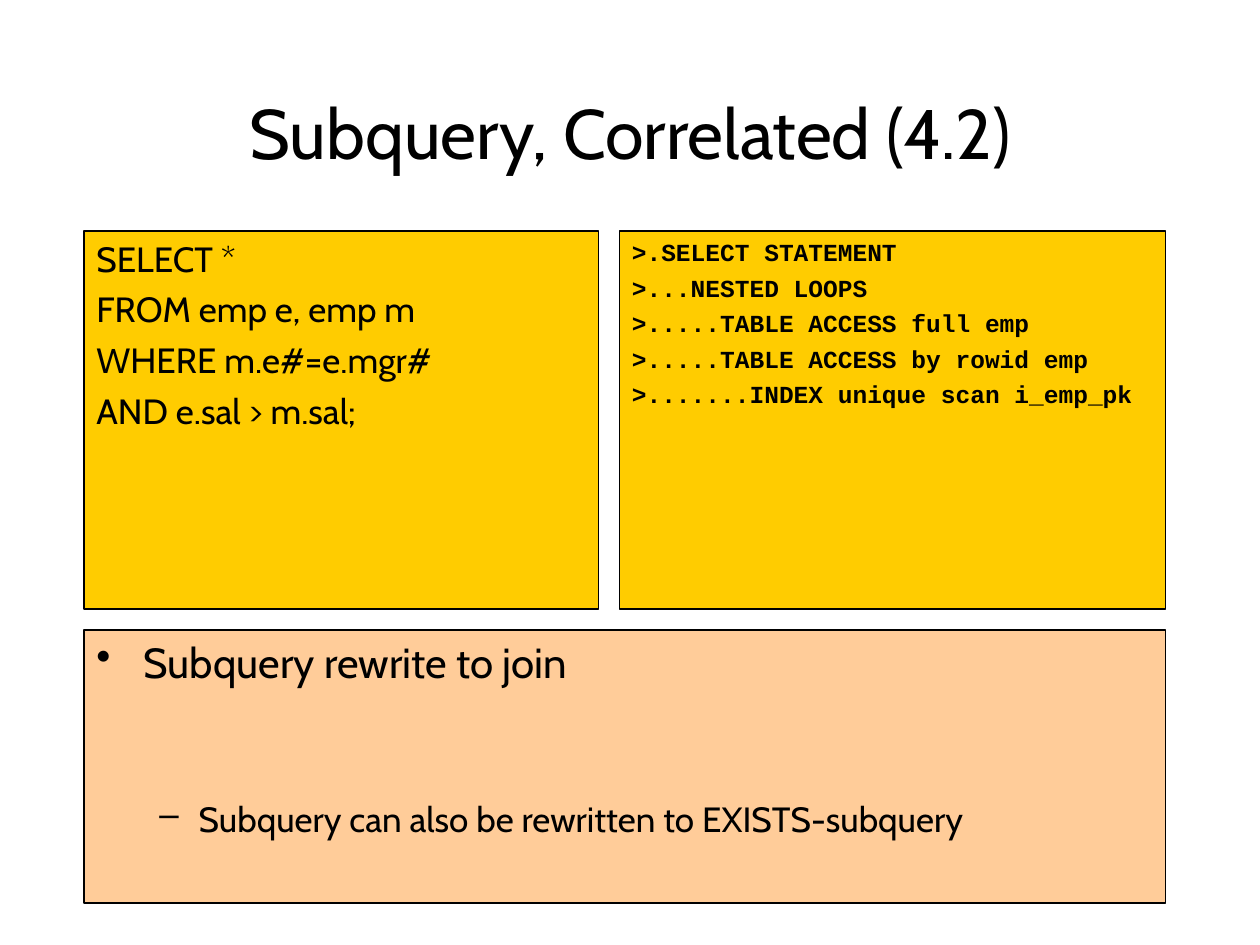
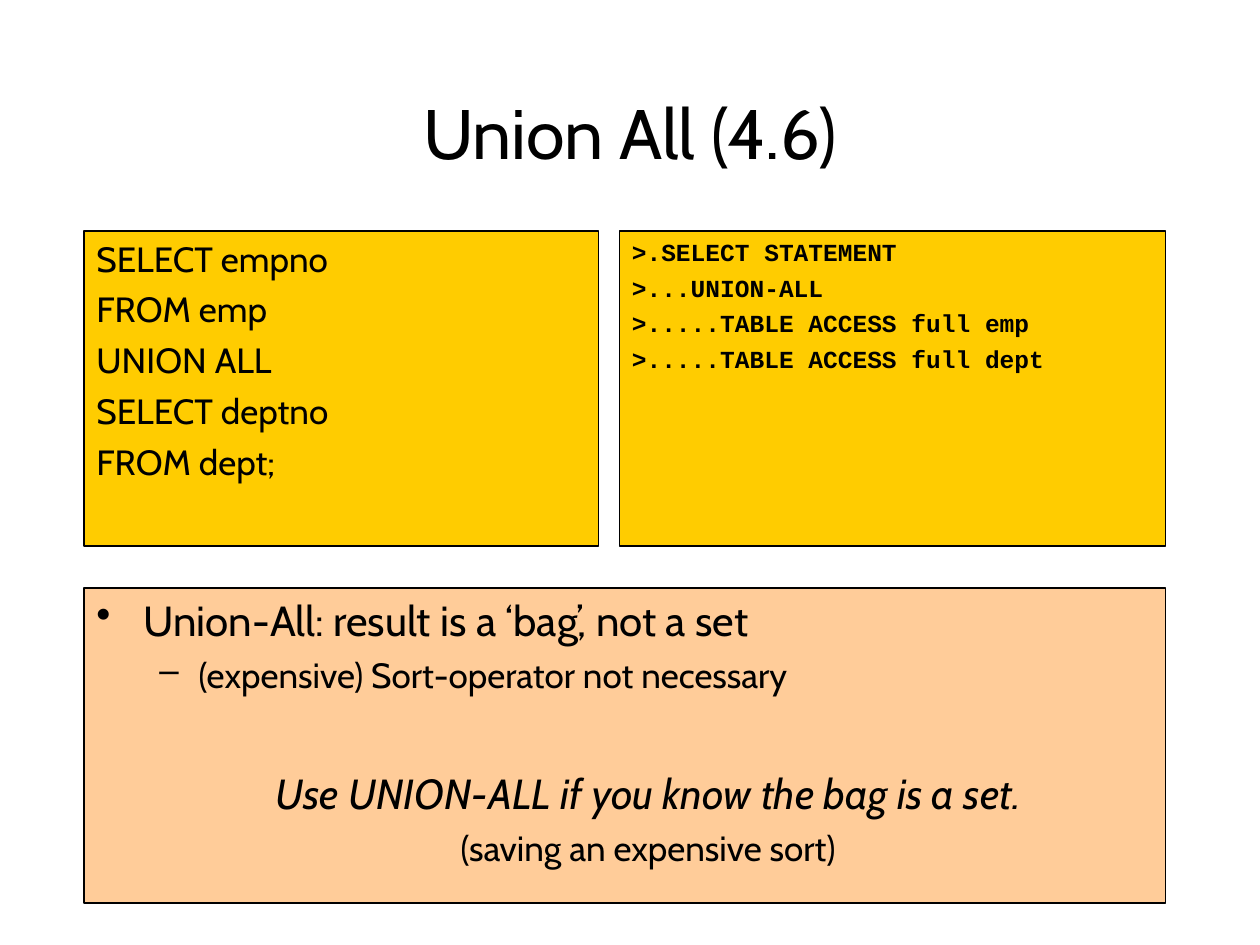
from lxml.etree import SubElement
from pptx import Presentation
from pptx.dml.color import RGBColor
from pptx.enum.shapes import MSO_SHAPE as Shape
from pptx.enum.text import MSO_ANCHOR as Anchor, PP_ALIGN as Align
from pptx.oxml.ns import qn
from pptx.util import Pt

BLACK, GOLD, PEACH = "000000", "FFCC00", "FFCC99"
LEFT, TOP, RIGHT, BOTTOM = 48, 132, 666, 516
QUERY_WIDTH, COLUMN_GAP = 294, 12

TITLE = {"size": 40, "align": Align.CENTER}
QUERY = {"size": 20, "before": 5}
PLAN = {"size": 14, "before": 3.5, "name": "Courier New", "bold": True}
POINT = {"size": 24, "before": 6, "bullet": "•", "margin": 27, "indent": -27}
DETAIL = {"size": 20, "before": 5, "bullet": "–", "margin": 58.5, "indent": -22.5}
ADVICE = {"size": 24, "before": 41.2, "italic": True, "align": Align.CENTER, "margin": 27}
REASON = {"size": 20, "before": 5, "align": Align.CENTER, "margin": 27}

SLIDES = [
    {
        "title": "Subquery, Correlated (4.2)",
        "code_height": 216,
        "gap": 12,
        "query": ["SELECT *", "FROM emp e, emp m", "WHERE m.e#=e.mgr#", "AND e.sal > m.sal;"],
        "plan": [
            ">.SELECT STATEMENT",
            ">...NESTED LOOPS",
            ">.....TABLE ACCESS full emp",
            ">.....TABLE ACCESS by rowid emp",
            ">.......INDEX unique scan i_emp_pk",
        ],
        "notes": [
            ("Subquery rewrite to join", POINT),
            ("Subquery can also be rewritten to EXISTS-subquery", {**DETAIL, "before": 63.3}),
        ],
    },
    {
        "title": "Union All (4.6)",
        "code_height": 180,
        "gap": 24,
        "query": ["SELECT empno", "FROM emp", "UNION ALL", "SELECT deptno", "FROM dept;"],
        "plan": [
            ">.SELECT STATEMENT",
            ">...UNION-ALL",
            ">.....TABLE ACCESS full emp",
            ">.....TABLE ACCESS full dept",
        ],
        "notes": [
            ("Union-All: result is a ‘bag’, not a set", POINT),
            ("(expensive) Sort-operator not necessary", DETAIL),
            ("Use UNION-ALL if you know the bag is a set.", ADVICE),
            ("(saving an expensive sort)", REASON),
        ],
    },
]


def color(value):
    """Turn a hex string into a colour."""
    return RGBColor.from_string(value)


def format_paragraph(paragraph, style):
    """Set the alignment, spacing, indents and bullet of a paragraph."""
    paragraph.alignment = style.get("align", Align.LEFT)
    properties = paragraph._p.get_or_add_pPr()
    for attribute, key in (("marL", "margin"), ("indent", "indent")):
        properties.set(attribute, str(Pt(style.get(key, 0))))
    if "bullet" in style:
        SubElement(properties, qn("a:buChar")).set("char", style["bullet"])


def write_lines(frame, lines):
    """Fill a text frame with pairs of text and style."""
    frame.word_wrap = True
    for index, (text, style) in enumerate(lines):
        paragraph = frame.paragraphs[0] if index == 0 else frame.add_paragraph()
        format_paragraph(paragraph, style)
        if index:
            paragraph.space_before = Pt(style["before"])
        run = paragraph.add_run()
        run.text = text
        run.font.color.rgb = color(BLACK)
        values = {
            "name": style.get("name", "Cabin"),
            "size": Pt(style["size"]),
            "bold": style.get("bold", False),
            "italic": style.get("italic", False),
        }
        for attribute, value in values.items():
            setattr(run.font, attribute, value)


def add_title(slide, text):
    """Add the centred slide title."""
    frame = slide.shapes.add_textbox(Pt(54), Pt(48), Pt(612), Pt(54)).text_frame
    frame.vertical_anchor = Anchor.MIDDLE
    write_lines(frame, [(text, TITLE)])


def add_panel(slide, left, top, right, bottom, fill, lines):
    """Add an outlined rectangle with text at its top."""
    shape = slide.shapes.add_shape(
        Shape.RECTANGLE, Pt(left), Pt(top), Pt(right - left), Pt(bottom - top)
    )
    shape.shadow.inherit = False
    shape.fill.solid()
    shape.fill.fore_color.rgb = color(fill)
    shape.line.color.rgb = color(BLACK)
    shape.line.width = Pt(0.75)
    shape.text_frame.vertical_anchor = Anchor.TOP
    write_lines(shape.text_frame, lines)


def add_query_slide(presentation, content):
    """Add a slide with a query, its execution plan and notes."""
    slide = presentation.slides.add_slide(presentation.slide_layouts[6])
    code_bottom = TOP + content["code_height"]
    query_right = LEFT + QUERY_WIDTH
    add_title(slide, content["title"])
    add_panel(slide, LEFT, code_bottom + content["gap"], RIGHT, BOTTOM, PEACH, content["notes"])
    for key, style, left, right in (
        ("plan", PLAN, query_right + COLUMN_GAP, RIGHT),
        ("query", QUERY, LEFT, query_right),
    ):
        lines = [(text, style) for text in content[key]]
        add_panel(slide, left, TOP, right, code_bottom, GOLD, lines)


def main():
    """Build and save the presentation."""
    presentation = Presentation()
    presentation.slide_width, presentation.slide_height = Pt(720), Pt(540)
    for content in SLIDES:
        add_query_slide(presentation, content)
    presentation.save("out.pptx")


if __name__ == "__main__":
    main()
